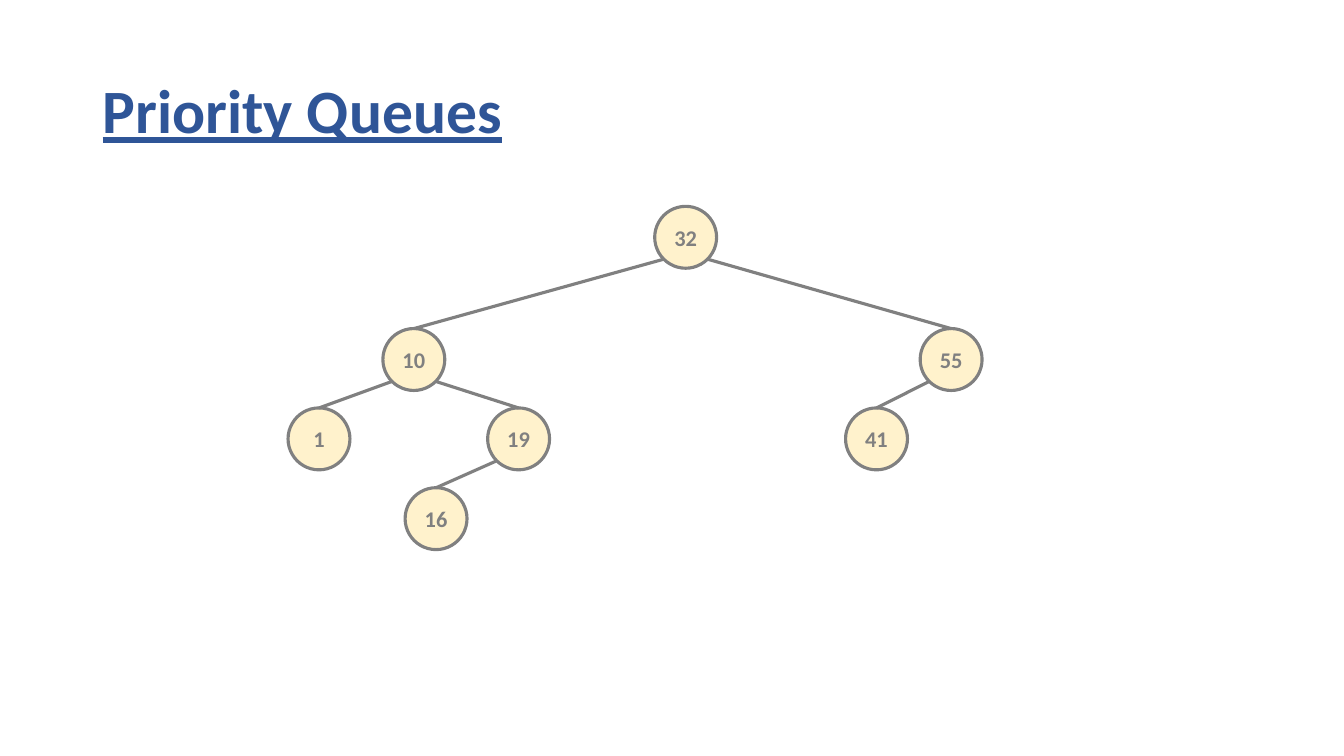
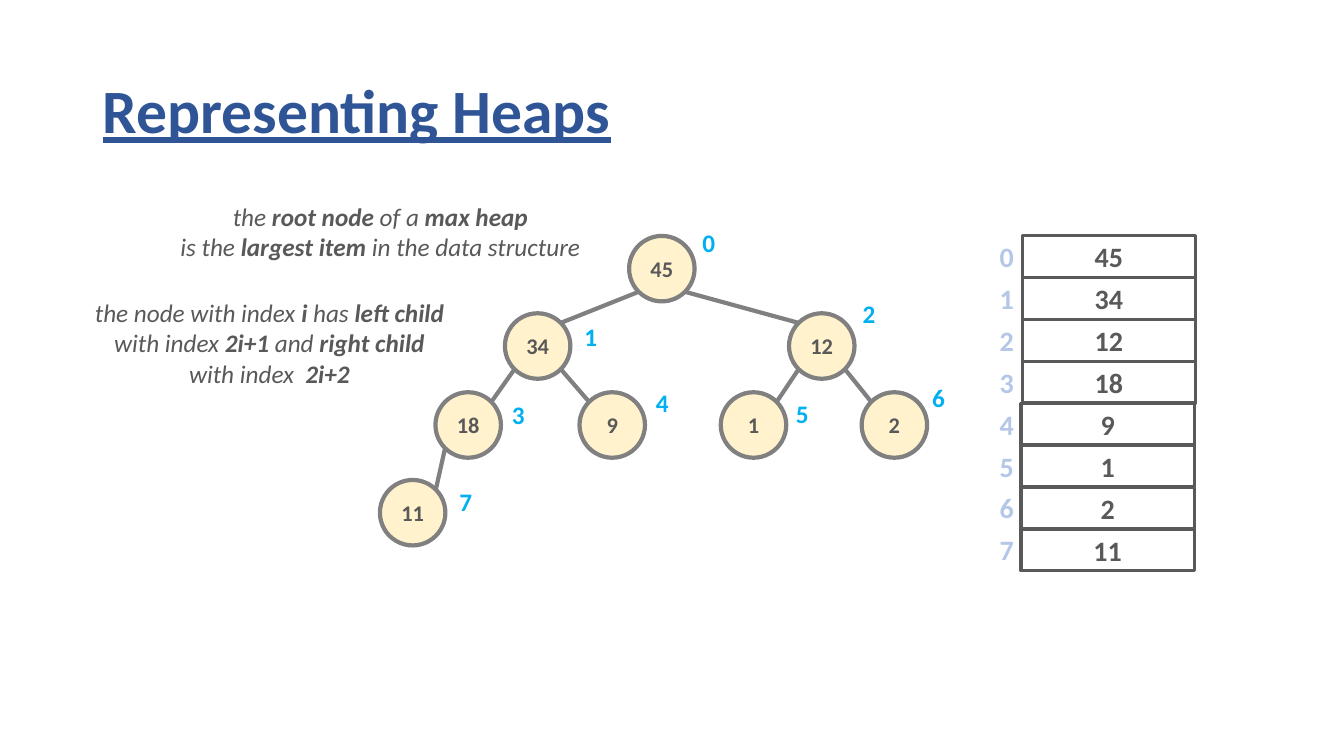
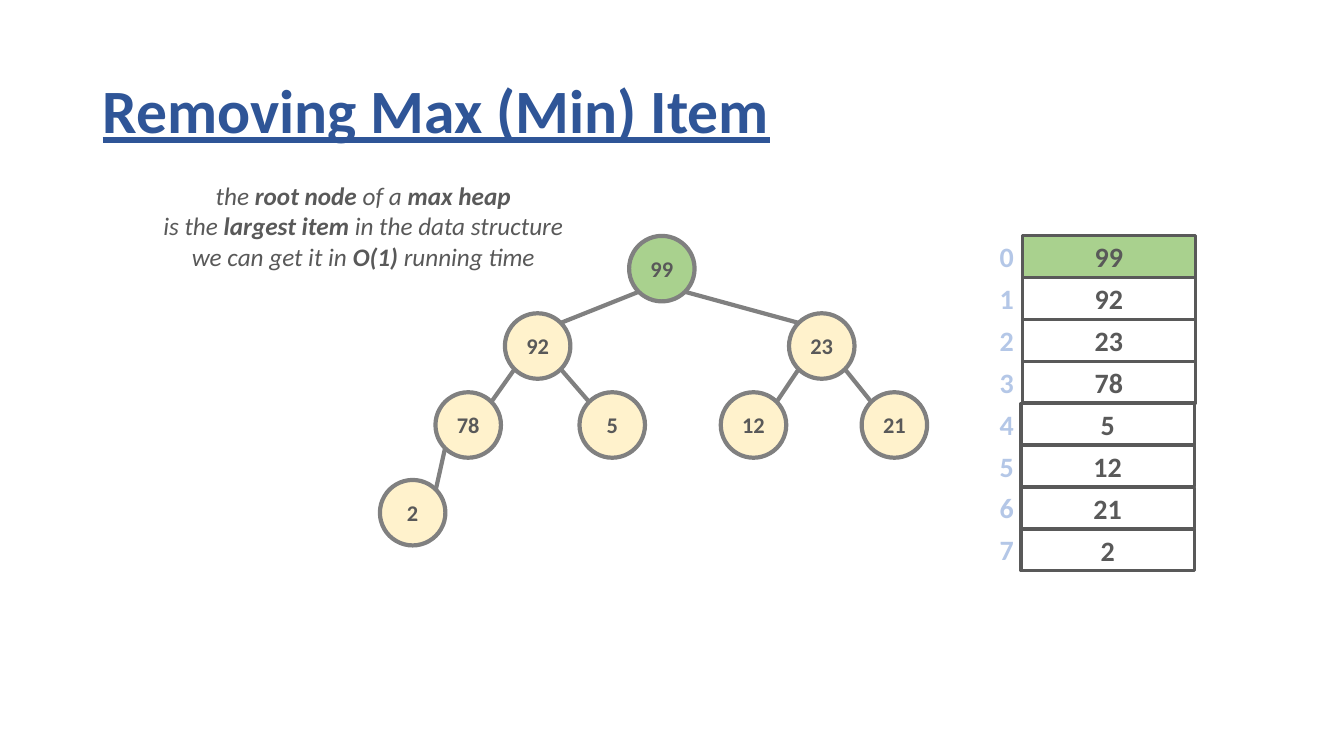
import math

import pptx
import pptx.dml.color
import pptx.enum.shapes
import pptx.enum.text
import pptx.oxml
import pptx.oxml.ns
import pptx.util
from pptx.util import Cm

COLORS = {
    "title": "2F5597",
    "node": "FFF2CC",
    "highlight": "A9D18E",
    "edge": "808080",
    "text": "595959",
    "index": "B4C7E7",
    "tag": "00B0F0",
}
ALIGN = pptx.enum.text.PP_ALIGN
ANCHOR = pptx.enum.text.MSO_ANCHOR
SHAPE = pptx.enum.shapes.MSO_SHAPE


def rgb(name):
    return pptx.dml.color.RGBColor.from_string(COLORS[name])


class Deck:
    font = "Calibri"

    def __init__(self):
        self.presentation = pptx.Presentation()
        self.presentation.slide_width = Cm(33.87)
        self.presentation.slide_height = Cm(19.05)
        self.slide = None

    def new_slide(self, title):
        self.slide = self.presentation.slides.add_slide(self.presentation.slide_layouts[6])
        frame = self.text_box(2.34, 1.02, 29.21, 3.68)
        frame.vertical_anchor = ANCHOR.MIDDLE
        paragraph = frame.paragraphs[0]
        paragraph.line_spacing = 0.9
        self.run(paragraph, title, 44, "title").font.underline = True

    def run(self, paragraph, text, size, color, bold=True, italic=False):
        run = paragraph.add_run()
        run.text = text
        run.font.name = self.font
        run.font.size = pptx.util.Pt(size)
        run.font.color.rgb = rgb(color)
        run.font.bold = bold
        run.font.italic = italic
        return run

    def text_box(self, left, top, width, height, wrap=True):
        box = self.slide.shapes.add_textbox(Cm(left), Cm(top), Cm(width), Cm(height))
        box.text_frame.word_wrap = wrap
        return box.text_frame

    def label(self, text, left, top, width, height, size, color):
        frame = self.text_box(left, top, width, height, wrap=False)
        self.run(frame.paragraphs[0], text, size, color)

    def note(self, left, top, width, height, lines):
        frame = self.text_box(left, top, width, height, wrap=False)
        for number, line in enumerate(lines):
            paragraph = frame.add_paragraph() if number else frame.paragraphs[0]
            paragraph.alignment = ALIGN.CENTER
            for position, text in enumerate(line):
                self.run(paragraph, text, 18, "text", bold=position % 2 == 1, italic=True)

    def shape(self, kind, box, text, size, color, fill, line, weight):
        shape = self.slide.shapes.add_shape(kind, *map(Cm, box))
        shape.shadow.inherit = False
        if fill:
            shape.fill.solid()
            shape.fill.fore_color.rgb = rgb(fill)
        else:
            shape.fill.background()
        shape.line.color.rgb = rgb(line)
        shape.line.width = pptx.util.Pt(weight)
        frame = shape.text_frame
        frame.margin_left = frame.margin_right = frame.margin_top = frame.margin_bottom = 0
        frame.vertical_anchor = ANCHOR.MIDDLE
        paragraph = frame.paragraphs[0]
        paragraph.alignment = ALIGN.CENTER
        self.run(paragraph, text, size, color)

    def edge(self, start, end, weight):
        connector = self.slide.shapes.add_connector(
            pptx.enum.shapes.MSO_CONNECTOR.STRAIGHT, *map(Cm, start + end))
        connector.line.color.rgb = rgb("edge")
        connector.line.width = pptx.util.Pt(weight)
        connector._element.spPr.append(pptx.oxml.parse_xml(
            "<a:effectLst %s/>" % pptx.oxml.ns.nsdecls("a")))

    def tree(self, values, centers, diameter, weight, color, to_top=False, root_fill="node"):
        radius = diameter / 2
        diagonal = radius / math.sqrt(2)
        for index, (x, y) in centers.items():
            box = (x - radius, y - radius, diameter, diameter)
            fill = "node" if index else root_fill
            self.shape(SHAPE.OVAL, box, str(values[index]), 16, color, fill, "edge", weight)
            if index:
                parent_x, parent_y = centers[(index - 1) // 2]
                side = -diagonal if index % 2 else diagonal
                start = (parent_x + side, parent_y + diagonal)
                end = (x, y - radius) if to_top else (x - side, y - diagonal)
                self.edge(start, end, weight)

    def array(self, values, root_fill=None):
        for index, value in enumerate(values):
            top = 5.94 + 1.056 * index
            fill = None if index else root_fill
            left = 25.76 if index < 4 else 25.73
            self.shape(SHAPE.RECTANGLE, (left, top, 4.37, 1.05), str(value), 20,
                       "text", fill, "text", 2.25)
        for index in range(len(values)):
            self.label(str(index), 24.94, 5.91 + 1.056 * index, 0.86, 1.12, 20, "index")

    def heap(self, values, root_cell=None, root_node="node"):
        self.tree(values, HEAP_CENTERS, 1.65, 3, "text", root_fill=root_node)
        self.array(values, root_cell)


SEARCH_VALUES = {0: 32, 1: 10, 2: 55, 3: 1, 4: 19, 5: 41, 9: 16}
SEARCH_CENTERS = {
    0: (17.28, 5.98),
    1: (10.43, 9.06), 2: (23.97, 9.06),
    3: (8.04, 11.06), 4: (13.07, 11.06), 5: (22.09, 11.06),
    9: (10.99, 13.07),
}
HEAP_CENTERS = {
    0: (16.68, 6.77),
    1: (13.55, 8.72), 2: (20.71, 8.72),
    3: (11.8, 10.71), 4: (15.43, 10.71), 5: (18.99, 10.71), 6: (22.54, 10.71),
    7: (10.4, 12.92),
}
TAGS = [(17.45, 5.61), (14.48, 7.98), (21.49, 7.39), (12.65, 9.93),
        (16.28, 9.63), (19.81, 9.91), (23.24, 9.5), (11.33, 12.12)]
ROOT_NOTE = [
    ["the ", "root node", " of a ", "max heap"],
    ["is the ", "largest item", " in the data structure"],
]

deck = Deck()

deck.new_slide("Priority Queues")
deck.tree(SEARCH_VALUES, SEARCH_CENTERS, 1.56, 2.25, "edge", to_top=True)

deck.new_slide("Representing Heaps")
deck.heap([45, 34, 12, 18, 9, 1, 2, 11])
for index, (left, top) in enumerate(TAGS):
    deck.label(str(index), left, top, 0.94, 1.02, 18, "tag")
deck.note(4.24, 4.95, 10.69, 1.8, ROOT_NOTE)
deck.note(2.08, 7.37, 9.42, 2.57, [
    ["the node with index ", "i", " has ", "left child"],
    ["with index ", "2i+1", " and ", "right child"],
    ["with index", "  2i+2"],
])

deck.new_slide("Removing Max (Min) Item")
deck.heap([99, 92, 23, 78, 5, 12, 21, 2], "highlight", "highlight")
deck.note(3.81, 4.42, 10.69, 2.57, ROOT_NOTE + [
    ["we can get it in ", "O(1)", " running time"],
])

deck.presentation.save("out.pptx")
